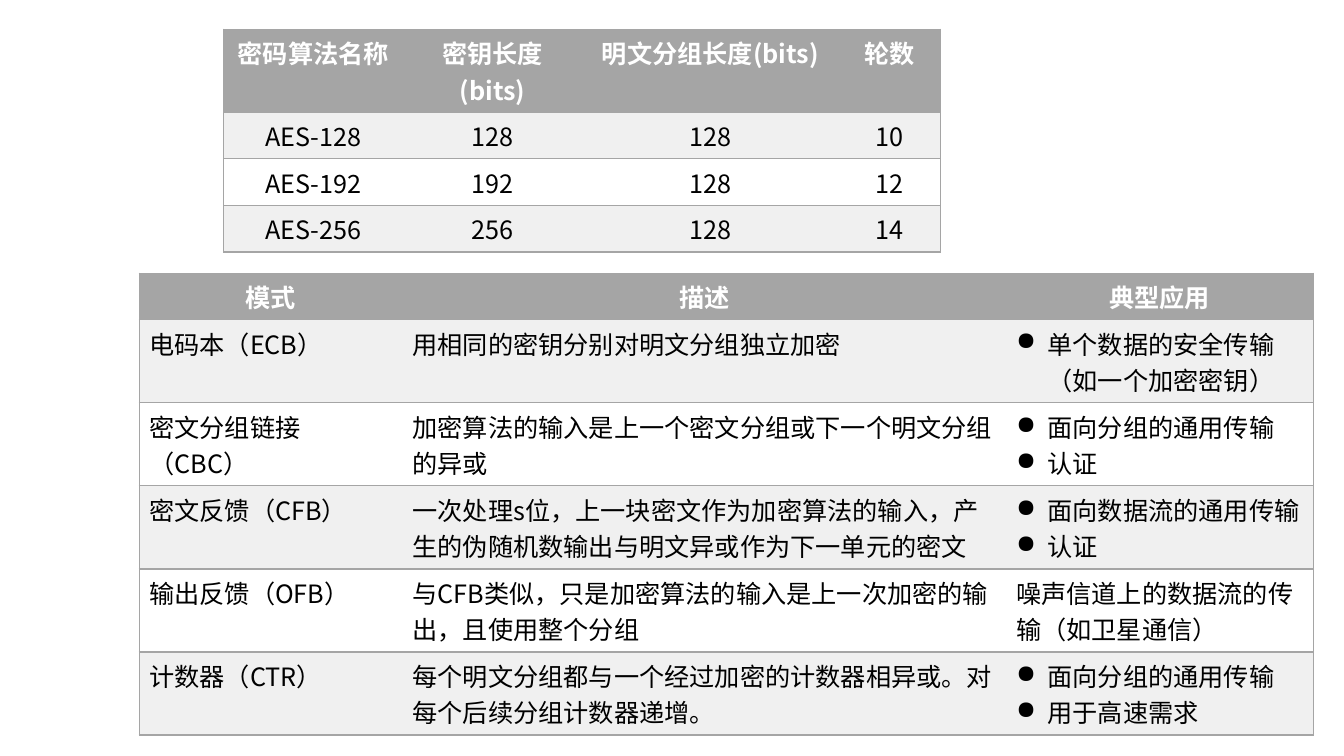
"""Build a slide with two tables: AES variants and block cipher modes."""
from lxml.etree import SubElement
from pptx import Presentation
from pptx.dml.color import RGBColor
from pptx.enum.lang import MSO_LANGUAGE_ID
from pptx.enum.text import PP_ALIGN
from pptx.oxml.ns import qn
from pptx.util import Pt

FONT = "Noto Sans CJK SC"
GRAY = RGBColor(0xA5, 0xA5, 0xA5)
PALE = RGBColor(0xF0, 0xF0, 0xF0)
WHITE = RGBColor(0xFF, 0xFF, 0xFF)
BLACK = RGBColor(0, 0, 0)
ROW_HEIGHT = 29.2
BULLET_INDENT = 22.5

VARIANTS = [
    ("密码算法名称", "密钥长度(bits)", "明文分组长度(bits)", "轮数"),
    ("AES-128", "128", "128", "10"),
    ("AES-192", "192", "128", "12"),
    ("AES-256", "256", "128", "14"),
]
MODES = [
    ("模式", "描述", "典型应用"),
    ("电码本（ECB）", "用相同的密钥分别对明文分组独立加密",
     ["单个数据的安全传输（如一个加密密钥）"]),
    ("密文分组链接（CBC）", "加密算法的输入是上一个密文分组或下一个明文分组的异或",
     ["面向分组的通用传输", "认证"]),
    ("密文反馈（CFB）",
     "一次处理s位，上一块密文作为加密算法的输入，产生的伪随机数输出与明文异或作为下一单元的密文",
     ["面向数据流的通用传输", "认证"]),
    ("输出反馈（OFB）", "与CFB类似，只是加密算法的输入是上一次加密的输出，且使用整个分组",
     "噪声信道上的数据流的传输（如卫星通信）"),
    ("计数器（CTR）", "每个明文分组都与一个经过加密的计数器相异或。对每个后续分组计数器递增。",
     ["面向分组的通用传输", "用于高速需求"]),
]
TABLES = [
    dict(rows=VARIANTS, left=159.8, top=20.9, height=116.8,
         widths=(128, 128, 183.4, 72.6), body_align=PP_ALIGN.CENTER),
    dict(rows=MODES, left=99.4, top=195.1, height=281.5,
         widths=(188, 431.2, 219.6), body_align=PP_ALIGN.LEFT),
]


def write_paragraph(paragraph, text, *, color, bold, align, bullet):
    paragraph.alignment = align
    run = paragraph.add_run()
    run.text = text
    font = run.font
    font.name, font.size, font.bold = FONT, Pt(18), bold
    font.color.rgb = color
    font.language_id = MSO_LANGUAGE_ID.SIMPLIFIED_CHINESE
    SubElement(font._element, qn("a:ea"), typeface=FONT)
    if bullet:
        properties = paragraph._p.get_or_add_pPr()
        properties.set("marL", str(Pt(BULLET_INDENT)))
        properties.set("indent", str(-Pt(BULLET_INDENT)))
        SubElement(properties, qn("a:buChar"), char="●")


def draw_borders(cell, visible_sides):
    properties = cell._tc.get_or_add_tcPr()
    for side in "LRTB":
        line = SubElement(properties, qn(f"a:ln{side}"), w=str(Pt(1)))
        if side in visible_sides:
            fill = SubElement(line, qn("a:solidFill"))
            SubElement(fill, qn("a:srgbClr"), val=str(GRAY))
        else:
            SubElement(line, qn("a:noFill"))


def add_styled_table(slide, *, rows, left, top, height, widths, body_align):
    shape = slide.shapes.add_table(len(rows), len(widths), Pt(left), Pt(top),
                                   Pt(sum(widths)), Pt(height))
    table = shape.table
    table.horz_banding = False
    for column, width in zip(table.columns, widths):
        column.width = Pt(width)
    for row_index, values in enumerate(rows):
        table.rows[row_index].height = Pt(ROW_HEIGHT)
        header = row_index == 0
        background = GRAY if header else PALE if row_index % 2 else WHITE
        for column_index, value in enumerate(values):
            cell = table.cell(row_index, column_index)
            sides = "TB"
            if column_index == 0:
                sides += "L"
            if column_index == len(widths) - 1:
                sides += "R"
            draw_borders(cell, sides)
            cell.fill.solid()
            cell.fill.fore_color.rgb = background
            bullet = isinstance(value, list)
            frame = cell.text_frame
            for index, text in enumerate(value if bullet else [value]):
                paragraph = frame.add_paragraph() if index else frame.paragraphs[0]
                write_paragraph(paragraph, text, color=WHITE if header else BLACK,
                                bold=header, bullet=bullet,
                                align=PP_ALIGN.CENTER if header else body_align)
    shape.height = Pt(height)


presentation = Presentation()
presentation.slide_width, presentation.slide_height = Pt(960), Pt(540)
slide = presentation.slides.add_slide(presentation.slide_layouts[6])
for table_data in TABLES:
    add_styled_table(slide, **table_data)
presentation.save("out.pptx")
